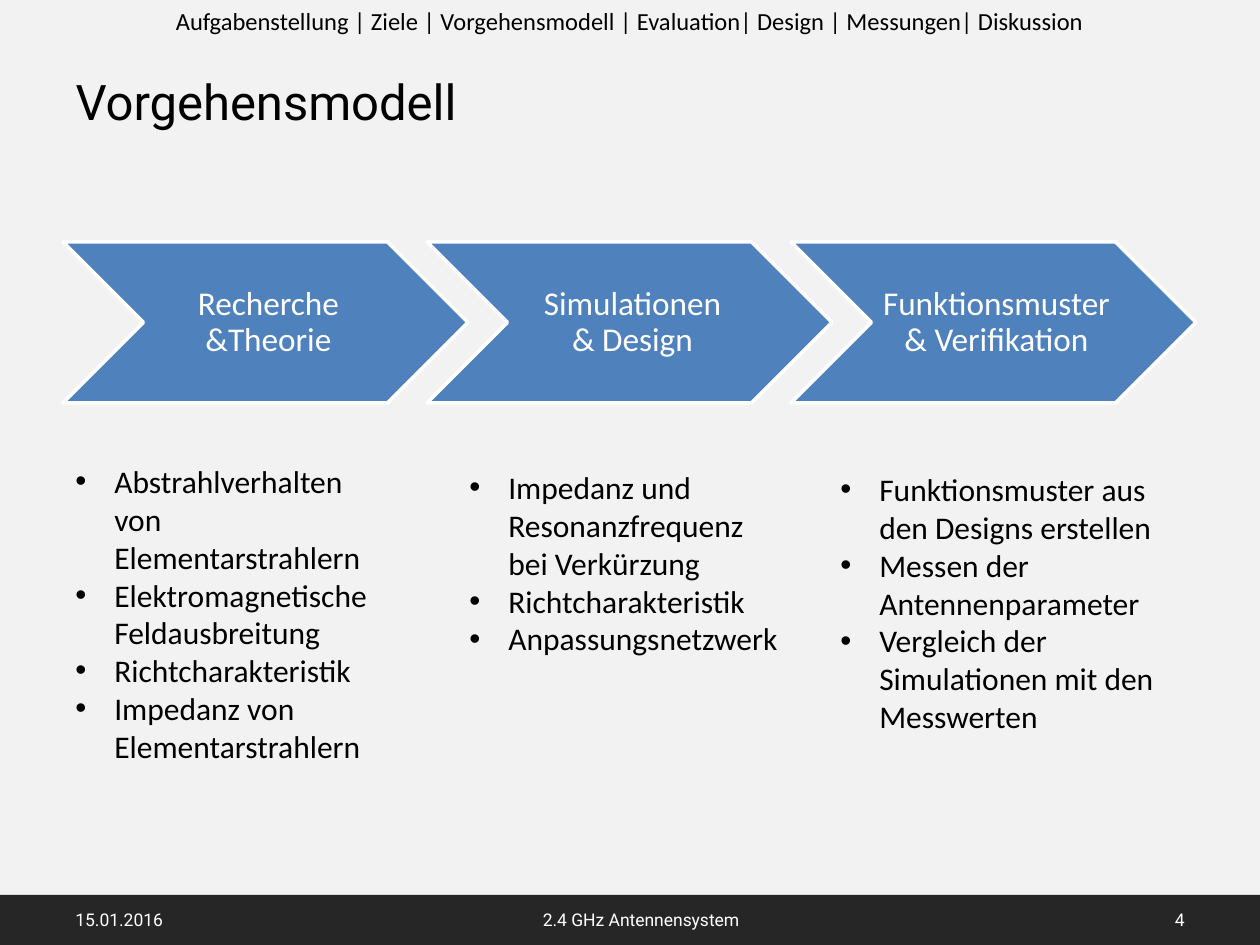
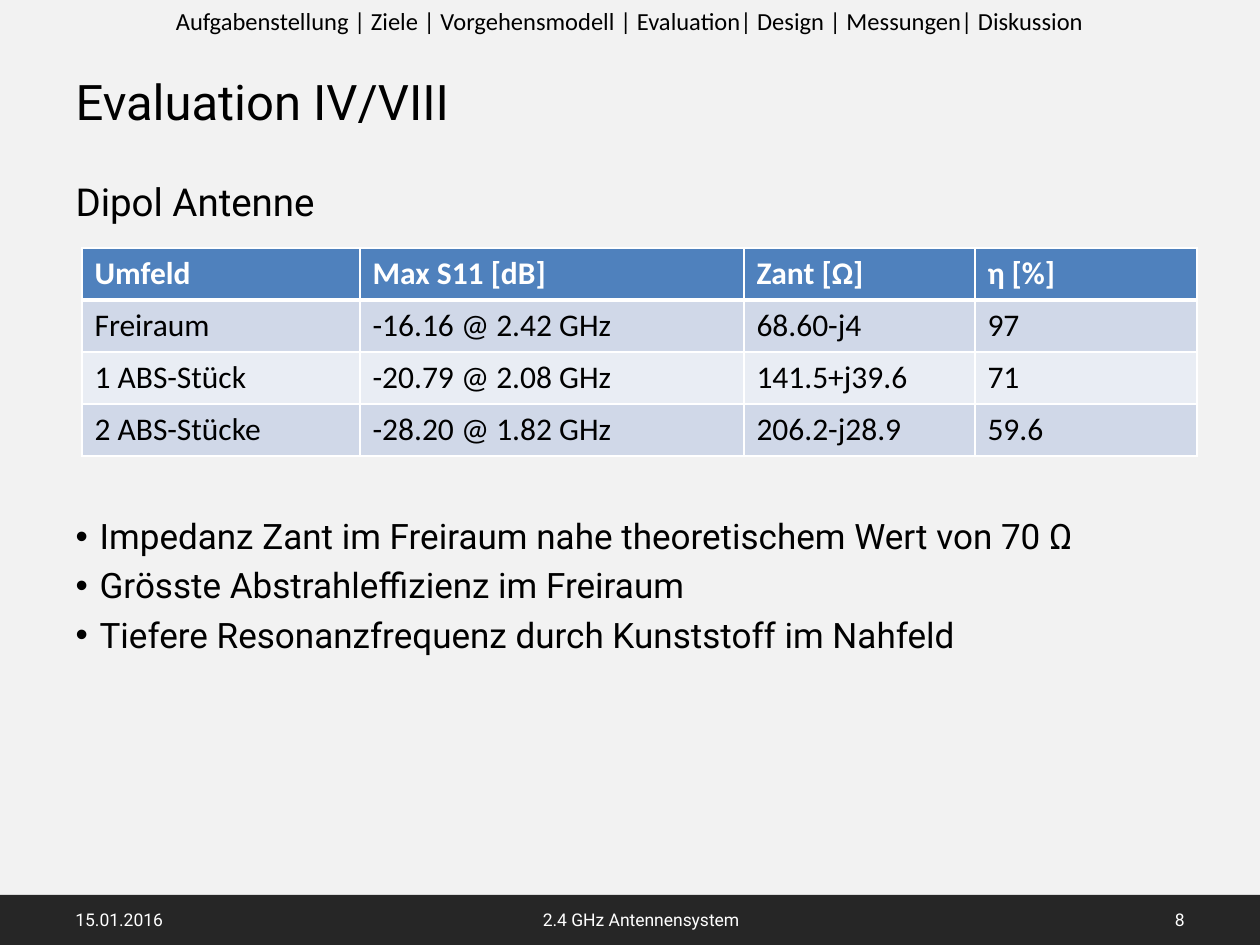
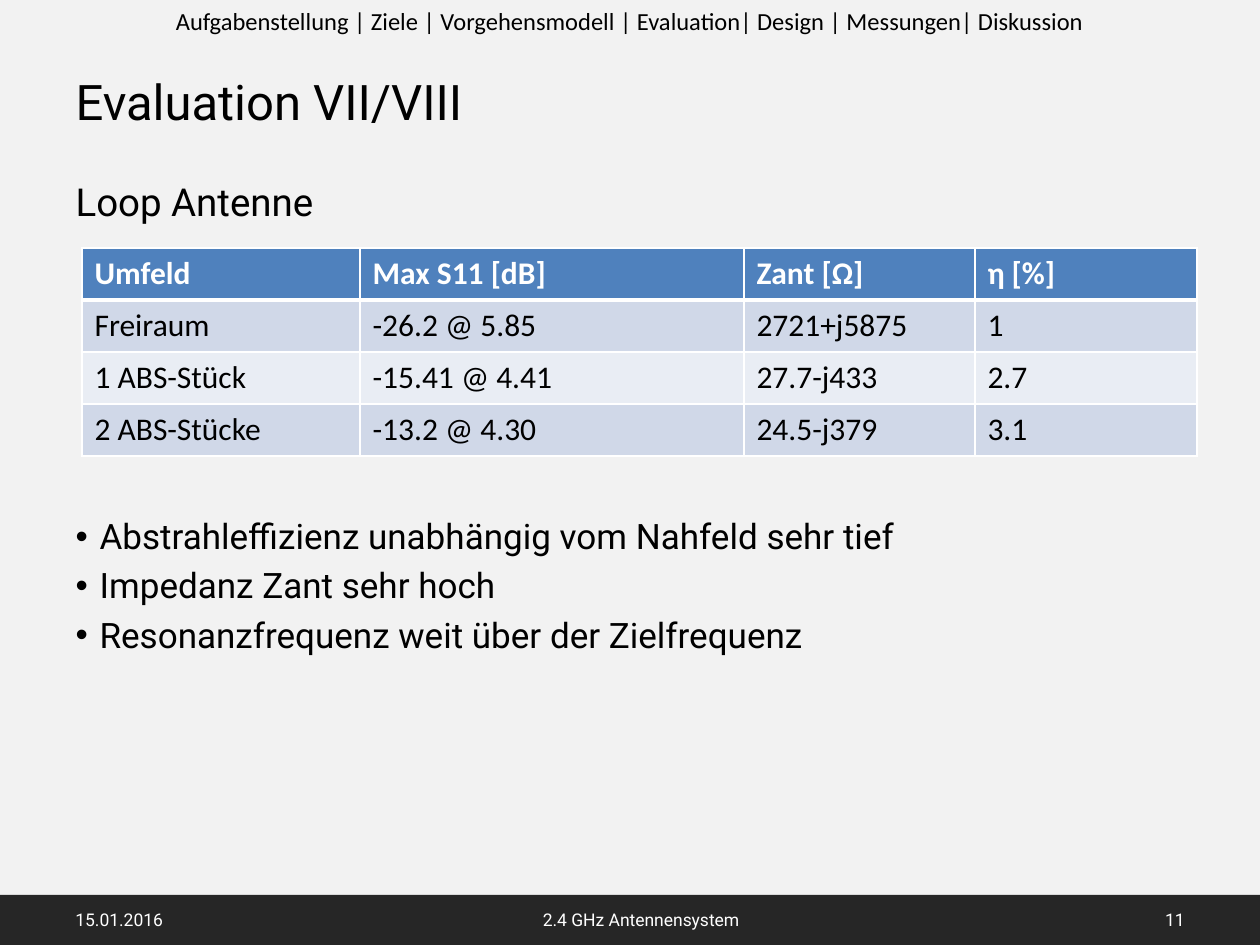
from lxml.etree import SubElement
from pptx import Presentation
from pptx.dml.color import RGBColor
from pptx.enum.shapes import MSO_SHAPE
from pptx.enum.text import MSO_ANCHOR, MSO_AUTO_SIZE, PP_ALIGN
from pptx.oxml.ns import qn
from pptx.util import Emu, Pt

PX = 914400 / 126

BACKGROUND = RGBColor(0xF2, 0xF2, 0xF2)
BAND = RGBColor(0x26, 0x26, 0x26)
BLUE = RGBColor(0x4F, 0x81, 0xBD)
ROW_DARK = RGBColor(0xD0, 0xD8, 0xE8)
ROW_LIGHT = RGBColor(0xE9, 0xED, 0xF4)
WHITE = RGBColor(0xFF, 0xFF, 0xFF)
BLACK = RGBColor(0, 0, 0)

HEADING_FONT, TEXT_FONT = "Roboto", "Calibri"
TITLE_ONLY, TITLE_AND_BODY = 5, 1
AGENDA = ("Aufgabenstellung | Ziele | Vorgehensmodell | Evaluation"
          "| Design | Messungen| Diskussion")
DATE, TOPIC = "15.01.2016", "2.4 GHz Antennensystem"


def px(length):
    return Emu(round(length * PX))


def write(paragraph, text, size=18, font=TEXT_FONT, color=BLACK, bold=False,
          align=PP_ALIGN.LEFT, before=0, after=0, spacing=1.0, indent=0):
    """Fill a paragraph; an indent in px gives it a bullet."""
    properties = paragraph._p.get_or_add_pPr()
    properties.set("marL", str(px(indent)))
    properties.set("indent", str(px(-indent)))
    if indent:
        SubElement(properties, qn("a:buFont"), typeface="Arial")
        SubElement(properties, qn("a:buChar"), char="•")
    else:
        SubElement(properties, qn("a:buNone"))
    paragraph.alignment = align
    paragraph.line_spacing = spacing
    paragraph.space_before, paragraph.space_after = Pt(before), Pt(after)
    for number, line in enumerate(text.split("\n")):
        if number:
            paragraph.add_line_break()
        run = paragraph.add_run()
        run.text = line
        run.font.size, run.font.name, run.font.bold = Pt(size), font, bold
        run.font.color.rgb = color


def write_list(frame, items, **style):
    """Write one paragraph per item, starting with the empty first one."""
    for number, item in enumerate(items):
        write(frame.add_paragraph() if number else frame.paragraphs[0],
              item, **style)


class Deck:
    def __init__(self):
        self.presentation = Presentation()
        self.presentation.slide_width = px(1260)
        self.presentation.slide_height = px(945)
        fill = self.presentation.slide_master.background.fill
        fill.solid()
        fill.fore_color.rgb = BACKGROUND
        self.slide = None

    def add_slide(self, title, page, layout):
        layouts = self.presentation.slide_layouts
        self.slide = self.presentation.slides.add_slide(layouts[layout])
        frame = self.place(self.slide.shapes.title, 63, 65, 1134, 73)
        write(frame.paragraphs[0], title, size=28, font=HEADING_FONT)
        self.text([AGENDA], 0, 0, 1260, 43, size=14, align=PP_ALIGN.CENTER)
        self.footer(page)

    def place(self, placeholder, left, top, width, height):
        placeholder.left, placeholder.top = px(left), px(top)
        placeholder.width, placeholder.height = px(width), px(height)
        frame = placeholder.text_frame
        frame.auto_size = MSO_AUTO_SIZE.NONE
        frame.vertical_anchor = MSO_ANCHOR.TOP
        return frame

    def shape(self, kind, left, top, width, height, color):
        shape = self.slide.shapes.add_shape(
            kind, px(left), px(top), px(width), px(height))
        shape.shadow.inherit = False
        shape.fill.solid()
        shape.fill.fore_color.rgb = color
        shape.line.fill.background()
        return shape

    def text(self, items, left, top, width, height,
             anchor=MSO_ANCHOR.TOP, **style):
        frame = self.slide.shapes.add_textbox(
            px(left), px(top), px(width), px(height)).text_frame
        frame.word_wrap = True
        frame.vertical_anchor = anchor
        write_list(frame, items, **style)

    def footer(self, page):
        self.shape(MSO_SHAPE.RECTANGLE, 0, 895, 1260, 50, BAND)
        for entry, left, width, align in (
                (DATE, 63, 294, PP_ALIGN.LEFT),
                (TOPIC, 430, 422, PP_ALIGN.CENTER),
                (str(page), 903, 294, PP_ALIGN.RIGHT)):
            self.text([entry], left, 895, width, 50, MSO_ANCHOR.MIDDLE,
                      size=10, font=HEADING_FONT, color=WHITE, align=align)

    def phase(self, label, left):
        chevron = self.shape(MSO_SHAPE.CHEVRON, left, 242, 405, 161, BLUE)
        chevron.line.color.rgb = WHITE
        chevron.line.width = Pt(2)
        frame = chevron.text_frame
        frame.word_wrap = True
        frame.vertical_anchor = MSO_ANCHOR.MIDDLE
        frame.margin_left = px(10)
        frame.margin_right = frame.margin_top = frame.margin_bottom = px(4)
        write(frame.paragraphs[0], label, size=19, color=WHITE,
              align=PP_ALIGN.CENTER, spacing=0.9)

    def body(self, heading, findings):
        frame = self.place(self.slide.placeholders[1], 63, 172, 1134, 673)
        write(frame.paragraphs[0], heading, size=22, font=HEADING_FONT)
        # The first finding leaves room for the table
        for number, finding in enumerate(findings):
            write(frame.add_paragraph(), finding, size=20, font=HEADING_FONT,
                  indent=24, before=4 if number else 166)

    def table(self, rows, left, top, column_widths, row_height):
        table = self.slide.shapes.add_table(
            len(rows), len(column_widths), px(left), px(top),
            px(sum(column_widths)), px(row_height * len(rows))).table
        for column, width in zip(table.columns, column_widths):
            column.width = px(width)
        for r, row in enumerate(rows):
            table.rows[r].height = px(row_height)
            for c, value in enumerate(row):
                cell = table.cell(r, c)
                self.borders(cell, top=3 if r == 1 else 1,
                             bottom=1 if r else 3)
                cell.fill.solid()
                cell.fill.fore_color.rgb = (
                    BLUE if r == 0 else ROW_DARK if r % 2 else ROW_LIGHT)
                write(cell.text_frame.paragraphs[0], value, bold=r == 0,
                      color=BLACK if r else WHITE)

    def borders(self, cell, top, bottom):
        properties = cell._tc.get_or_add_tcPr()
        for side, width in (("L", 1), ("R", 1), ("T", top), ("B", bottom)):
            line = SubElement(properties, qn(f"a:ln{side}"), w=str(Pt(width)))
            fill = SubElement(line, qn("a:solidFill"))
            SubElement(fill, qn("a:srgbClr"), val=str(WHITE))


# Phase label, left and top of its task list, tasks
PHASES = [
    ("Recherche &Theorie", 63, 456,
     ["Abstrahlverhalten von Elementarstrahlern",
      "Elektromagnetische Feldausbreitung",
      "Richtcharakteristik",
      "Impedanz von Elementarstrahlern"]),
    ("Simulationen\n& Design", 457, 462,
     ["Impedanz und Resonanzfrequenz bei Verkürzung",
      "Richtcharakteristik",
      "Anpassungsnetzwerk"]),
    ("Funktionsmuster & Verifikation", 828, 464,
     ["Funktionsmuster aus den Designs erstellen",
      "Messen der Antennenparameter",
      "Vergleich der Simulationen mit den Messwerten"]),
]

MEASURES = ("Umfeld", "Max S11 [dB]", "Zant [Ω]", "η [%]")
SURROUNDINGS = ("Freiraum", "1 ABS-Stück", "2 ABS-Stücke")

# Title, page, antenna, measured values per surrounding, findings
EVALUATIONS = [
    ("Evaluation IV/VIII", 8, "Dipol Antenne",
     [("-16.16 @ 2.42 GHz", "68.60-j4", "97"),
      ("-20.79 @ 2.08 GHz", "141.5+j39.6", "71"),
      ("-28.20 @ 1.82 GHz", "206.2-j28.9", "59.6")],
     ["Impedanz Zant im Freiraum nahe theoretischem Wert von 70 Ω",
      "Grösste Abstrahleffizienz im Freiraum",
      "Tiefere Resonanzfrequenz durch Kunststoff im Nahfeld"]),
    ("Evaluation VII/VIII", 11, "Loop Antenne",
     [("-26.2 @ 5.85", "2721+j5875", "1"),
      ("-15.41 @ 4.41", "27.7-j433", "2.7"),
      ("-13.2 @ 4.30", "24.5-j379", "3.1")],
     ["Abstrahleffizienz unabhängig vom Nahfeld sehr tief",
      "Impedanz Zant sehr hoch",
      "Resonanzfrequenz weit über der Zielfrequenz"]),
]


def main():
    deck = Deck()

    # Process model
    deck.add_slide("Vorgehensmodell", 4, TITLE_ONLY)
    for number, (label, left, top, tasks) in enumerate(PHASES):
        deck.phase(label, 63 + 364 * number)
        deck.text(tasks, left, top, 341, 280, indent=39)

    # Antenna evaluations
    for title, page, antenna, values, findings in EVALUATIONS:
        deck.add_slide(title, page, TITLE_AND_BODY)
        deck.body(antenna, findings)
        rows = [(place, *row) for place, row in zip(SURROUNDINGS, values)]
        deck.table([MEASURES, *rows], 82, 248, (278, 384, 231, 222), 52)

    deck.presentation.save("out.pptx")


if __name__ == "__main__":
    main()
